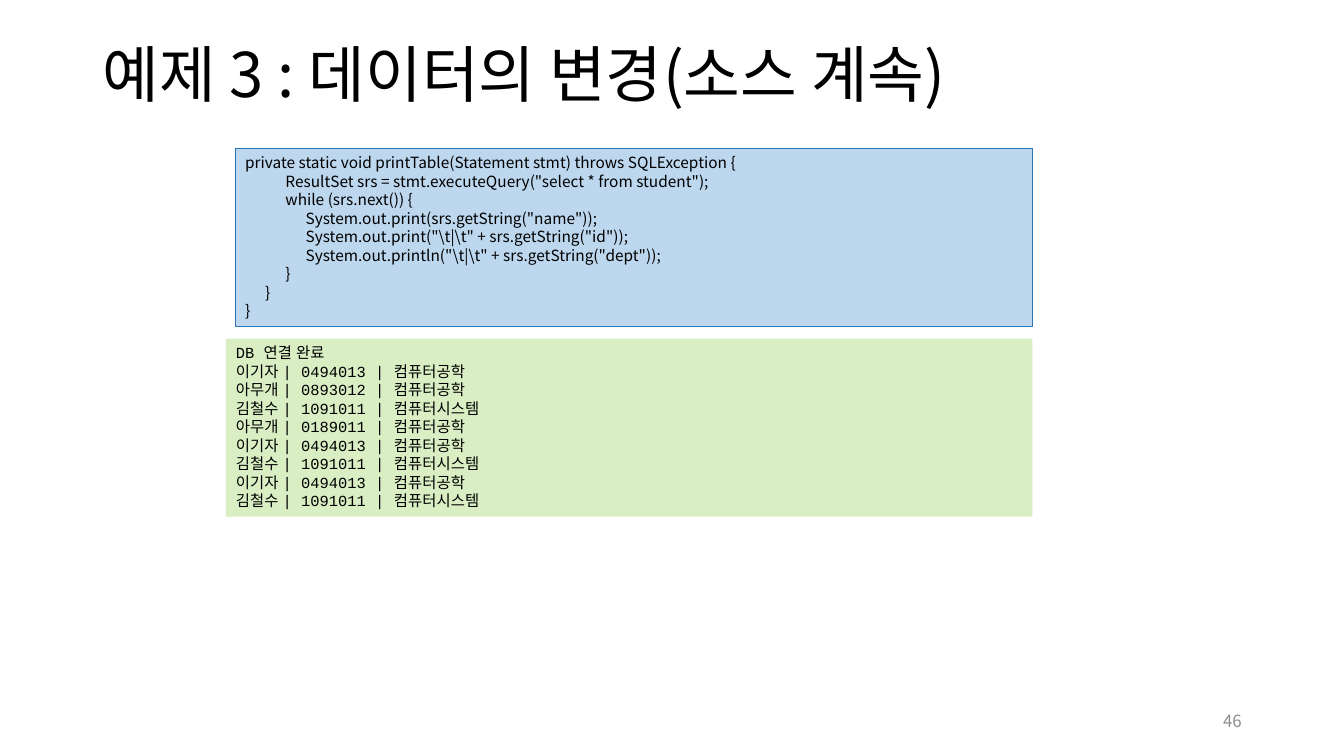
from lxml.etree import SubElement
from pptx import Presentation
from pptx.dml.color import RGBColor
from pptx.enum.shapes import MSO_SHAPE
from pptx.enum.text import MSO_ANCHOR, MSO_AUTO_SIZE, PP_ALIGN
from pptx.oxml.ns import qn
from pptx.util import Inches, Pt

SANS, MONO, TEXT = "Noto Sans CJK KR", "Courier New", "Roboto"
CODE = [
    (0, 'private static void printTable(Statement stmt) throws SQLException {'),
    (2, 'ResultSet srs = stmt.executeQuery("select * from student");'),
    (2, 'while (srs.next()) {'),
    (3, 'System.out.print(srs.getString("name"));'),
    (3, r'System.out.print("\t|\t" + srs.getString("id"));'),
    (3, r'System.out.println("\t|\t" + srs.getString("dept"));'),
    (2, '}'),
    (1, '}'),
    (0, '}'),
]
LEE = ("이기자", "0494013", "컴퓨터공학")
KIM = ("김철수", "1091011", "컴퓨터시스템")
ROWS = [
    LEE,
    ("아무개", "0893012", "컴퓨터공학"),
    KIM,
    ("아무개", "0189011", "컴퓨터공학"),
    LEE, KIM, LEE, KIM,
]


def tint(code):
    return RGBColor.from_string(code)


class Deck:
    """Draws styled elements on a slide ruled in 160 columns and 90 rows."""

    def __init__(self):
        self.show = Presentation()
        self.show.slide_width, self.show.slide_height = Inches(13.33), Inches(7.5)
        self.slide = self.show.slides.add_slide(self.show.slide_layouts[5])
        self.shapes = self.slide.shapes

    def area(self, col, row, wide, high):
        """Turn grid units into slide lengths."""
        unit = self.show.slide_width / 160, self.show.slide_height / 90
        return [round(n * unit[i % 2]) for i, n in enumerate((col, row, wide, high))]

    def style(self, run, face, size, color="000000"):
        """Set the face, size and colour of a run."""
        run.font.name, run.font.size = face, Pt(size)
        run.font.color.rgb = tint(color)
        SubElement(run.font._element, qn("a:ea")).set("typeface", face)

    def title(self, text, *spot):
        """Place and fill the title."""
        head = self.shapes.title
        head.left, head.top, head.width, head.height = self.area(*spot)
        frame = head.text_frame
        frame.text = text
        frame.auto_size = MSO_AUTO_SIZE.NONE
        frame.vertical_anchor = MSO_ANCHOR.MIDDLE
        line = frame.paragraphs[0]
        line.alignment, line.line_spacing = PP_ALIGN.LEFT, 0.9
        self.style(line.runs[0], SANS, 44)

    def label(self, text, *spot):
        """Add a grey label aligned right."""
        frame = self.shapes.add_textbox(*self.area(*spot)).text_frame
        frame.text, frame.word_wrap = text, True
        frame.vertical_anchor = MSO_ANCHOR.MIDDLE
        frame.paragraphs[0].alignment = PP_ALIGN.RIGHT
        self.style(frame.paragraphs[0].runs[0], SANS, 12, "8C8C8C")

    def panel(self, lines, fill, edge, *spot):
        """Add a filled box whose lines are lists of text and face."""
        box = self.shapes.add_shape(MSO_SHAPE.RECTANGLE, *self.area(*spot))
        box.shadow.inherit = False
        box.fill.solid()
        box.fill.fore_color.rgb = tint(fill)
        if edge:
            box.line.color.rgb, box.line.width = tint(edge), Pt(0.75)
        else:
            box.line.fill.background()
        frame = box.text_frame
        frame.word_wrap, frame.auto_size = True, MSO_AUTO_SIZE.SHAPE_TO_FIT_TEXT
        frame.vertical_anchor = MSO_ANCHOR.TOP
        for i, parts in enumerate(lines):
            line = frame.add_paragraph() if i else frame.paragraphs[0]
            tabs = SubElement(line._p.get_or_add_pPr(), qn("a:tabLst"))
            for stop in range(1, 4):
                tab = SubElement(tabs, qn("a:tab"))
                tab.set("pos", str(Inches(0.2 * stop)))
                tab.set("algn", "l")
            line.alignment, line.line_spacing = PP_ALIGN.LEFT, Pt(13.2)
            for text, face in parts:
                run = line.add_run()
                run.text = text
                self.style(run, face, 11)


def main():
    deck = Deck()
    deck.title("예제 3 : 데이터의 변경(소스 계속)", 11, 0.5, 138, 17.4)
    code = [[("\t" * depth + text, SANS)] for depth, text in CODE]
    deck.panel(code, "BDD7EE", "2E75B6", 28, 17.65, 94.9, 21.2)
    deck.label("46", 113, 83.4, 36, 4.8)
    print_out = [[("DB ", MONO), ("연결 완료", TEXT)]]
    print_out += [[(name + " ", TEXT), (f"| {num} | ", MONO), (dept, TEXT)]
                  for name, num, dept in ROWS]
    deck.panel(print_out, "DAEEC4", None, 26.9, 40.3, 96, 21.2)
    deck.show.save("out.pptx")


if __name__ == "__main__":
    main()
